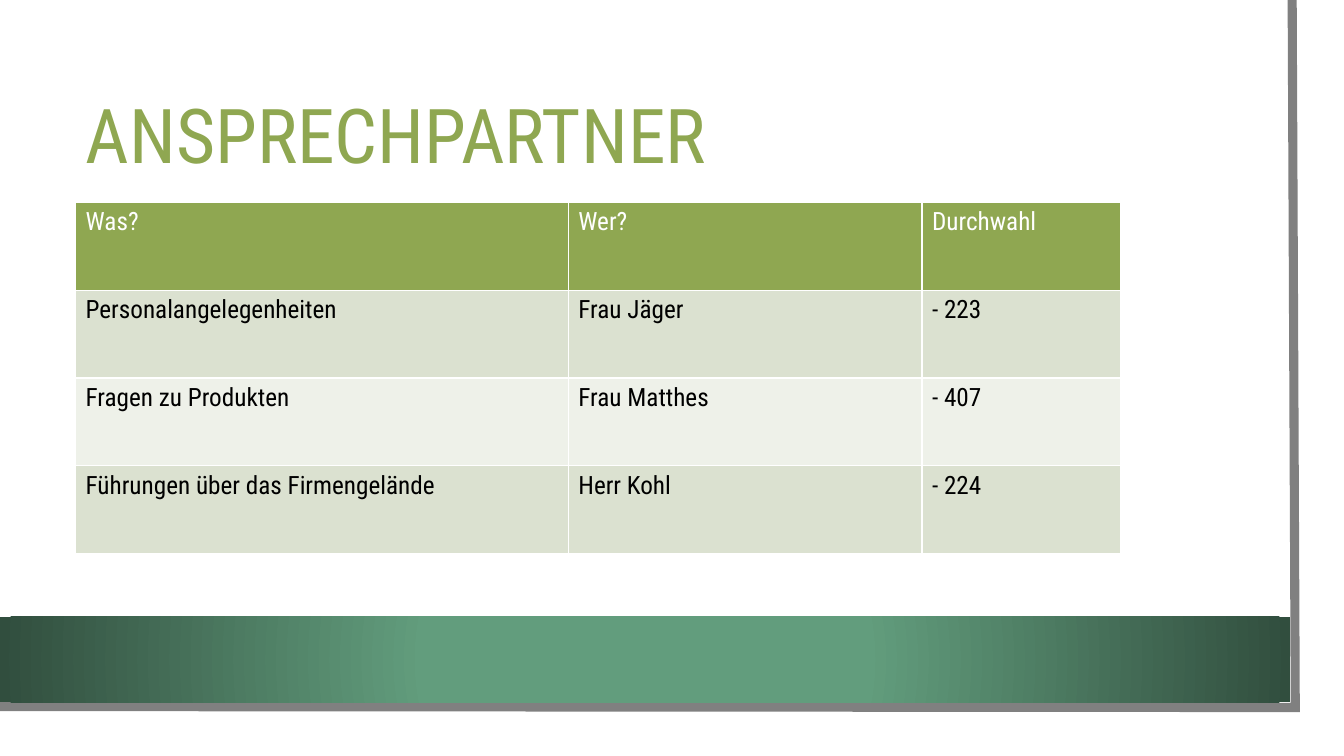
"""Build a contact list slide with a framed sheet, a green band and a table."""
import pptx
import pptx.util
import pptx.dml.color
import pptx.enum.shapes
import pptx.enum.text
import pptx.oxml
import pptx.oxml.ns
from dataclasses import dataclass

Pt = pptx.util.Pt
Rgb = pptx.dml.color.RGBColor.from_string

TITLE = "ANSPRECHPARTNER"
ROWS = [
    ("Was?", "Wer?", "Durchwahl"),
    ("Personalangelegenheiten", "Frau Jäger", "- 223"),
    ("Fragen zu Produkten", "Frau Matthes", "- 407"),
    ("Führungen über das Firmengelände", "Herr Kohl", "- 224"),
]
COLS = (352, 252.6, 141.7)
HIGH = 62.7
LEFT, TOP = 54, 144.7
HEAD = (LEFT, 54, 818.6, 90.7)
SHEET = (0, 0, 943.2, 523.4)
BAND = (0, 440.6, 921.6, 61.2)
EDGE = [(923, 0), (925.2, 505.4), (-2.2, 504.7)]


@dataclass(frozen=True)
class Theme:
    """Colours, font and type sizes."""
    font: str = "Roboto Condensed"
    green: str = "8FA751"
    white: str = "FFFFFF"
    black: str = "000000"
    grey: str = "808080"
    bands: tuple = ("DBE1D0", "EEF1E9")
    glow: tuple = ((0, "629D7D"), (34, "629D7D"), (100, "314E3E"))
    title: int = 54
    body: int = 18
    rule: int = 1
    edge: float = 6.5


LOOK = Theme()


def apply(item, form):
    """Set every attribute named in a dict."""
    for name, value in form.items():
        setattr(item, name, value)


def style(font, size, tint):
    """Format a font."""
    apply(font, {"name": LOOK.font, "size": Pt(size), "bold": False})
    font.color.rgb = Rgb(tint)


def node(text):
    """Parse an XML fragment in the drawing namespace."""
    head, tail = text.split(">", 1)
    return pptx.oxml.parse_xml(f"{head} {pptx.oxml.ns.nsdecls('a')}>{tail}")


def block(slide, box, tint):
    """Add a plain rectangle."""
    kind = pptx.enum.shapes.MSO_SHAPE.RECTANGLE
    shape = slide.shapes.add_shape(kind, *map(Pt, box))
    shape.shadow.inherit = False
    shape.fill.solid()
    shape.fill.fore_color.rgb = Rgb(tint)
    shape.line.fill.background()
    return shape


def frame(slide):
    """Draw the grey edge along the right and bottom of the sheet."""
    points = [tuple(map(Pt, spot)) for spot in EDGE]
    pen = slide.shapes.build_freeform(*points[0])
    pen.add_line_segments(points[1:], close=False)
    edge = pen.convert_to_shape()
    edge.shadow.inherit = False
    edge.fill.background()
    edge.line.color.rgb = Rgb(LOOK.grey)
    edge.line.width = Pt(LOOK.edge)
    edge.line._get_or_add_ln().append(node('<a:miter lim="800000"></a:miter>'))


def shade(shape):
    """Give a shape the round green gradient."""
    stops = "".join(
        f'<a:gs pos="{spot * 1000}"><a:srgbClr val="{tint}"/></a:gs>'
        for spot, tint in LOOK.glow)
    grad = node(
        f'<a:gradFill rotWithShape="1"><a:gsLst>{stops}</a:gsLst>'
        '<a:path path="circle"><a:fillToRect l="50000" t="50000" '
        'r="50000" b="50000"/></a:path></a:gradFill>')
    props = shape._element.spPr
    old = props.find(pptx.oxml.ns.qn("a:solidFill"))
    props.replace(old, grad)


def head(slide):
    """Place the title above the sheet."""
    title = slide.shapes.title
    slide.shapes._spTree.append(title._element)
    apply(title, dict(zip(("left", "top", "width", "height"), map(Pt, HEAD))))
    text = title.text_frame
    text.text = TITLE
    apply(text, {
        "word_wrap": True,
        "auto_size": pptx.enum.text.MSO_AUTO_SIZE.NONE,
        "vertical_anchor": pptx.enum.text.MSO_ANCHOR.MIDDLE,
    })
    para = text.paragraphs[0]
    apply(para, {
        "alignment": pptx.enum.text.PP_ALIGN.LEFT,
        "line_spacing": 0.9,
    })
    style(para.runs[0].font, LOOK.title, LOOK.green)


def paint(cell, text, fill, tint):
    """Fill one cell with text, borders and colour."""
    cell.text = text
    style(cell.text_frame.paragraphs[0].runs[0].font, LOOK.body, tint)
    props = cell._tc.get_or_add_tcPr()
    for side in "LRTB":
        props.append(node(
            f'<a:ln{side} w="{Pt(LOOK.rule)}"><a:solidFill>'
            f'<a:srgbClr val="{LOOK.white}"/></a:solidFill></a:ln{side}>'))
    cell.fill.solid()
    cell.fill.fore_color.rgb = Rgb(fill)


def grid(slide):
    """Add the contact table."""
    box = (LEFT, TOP, sum(COLS), HIGH * len(ROWS))
    table = slide.shapes.add_table(
        len(ROWS), len(COLS), *map(Pt, box)).table
    for col, width in zip(table.columns, COLS):
        col.width = Pt(width)
    for r, row in enumerate(ROWS):
        table.rows[r].height = Pt(HIGH)
        fill = LOOK.bands[(r - 1) % 2] if r else LOOK.green
        tint = LOOK.black if r else LOOK.white
        for c, text in enumerate(row):
            paint(table.cell(r, c), text, fill, tint)


def main():
    """Build and save the slide."""
    deck = pptx.Presentation()
    apply(deck, {"slide_width": Pt(960), "slide_height": Pt(540)})
    slide = deck.slides.add_slide(deck.slide_layouts[5])
    block(slide, SHEET, LOOK.white)
    frame(slide)
    shade(block(slide, BAND, LOOK.glow[0][1]))
    head(slide)
    grid(slide)
    deck.save("out.pptx")


if __name__ == "__main__":
    main()
